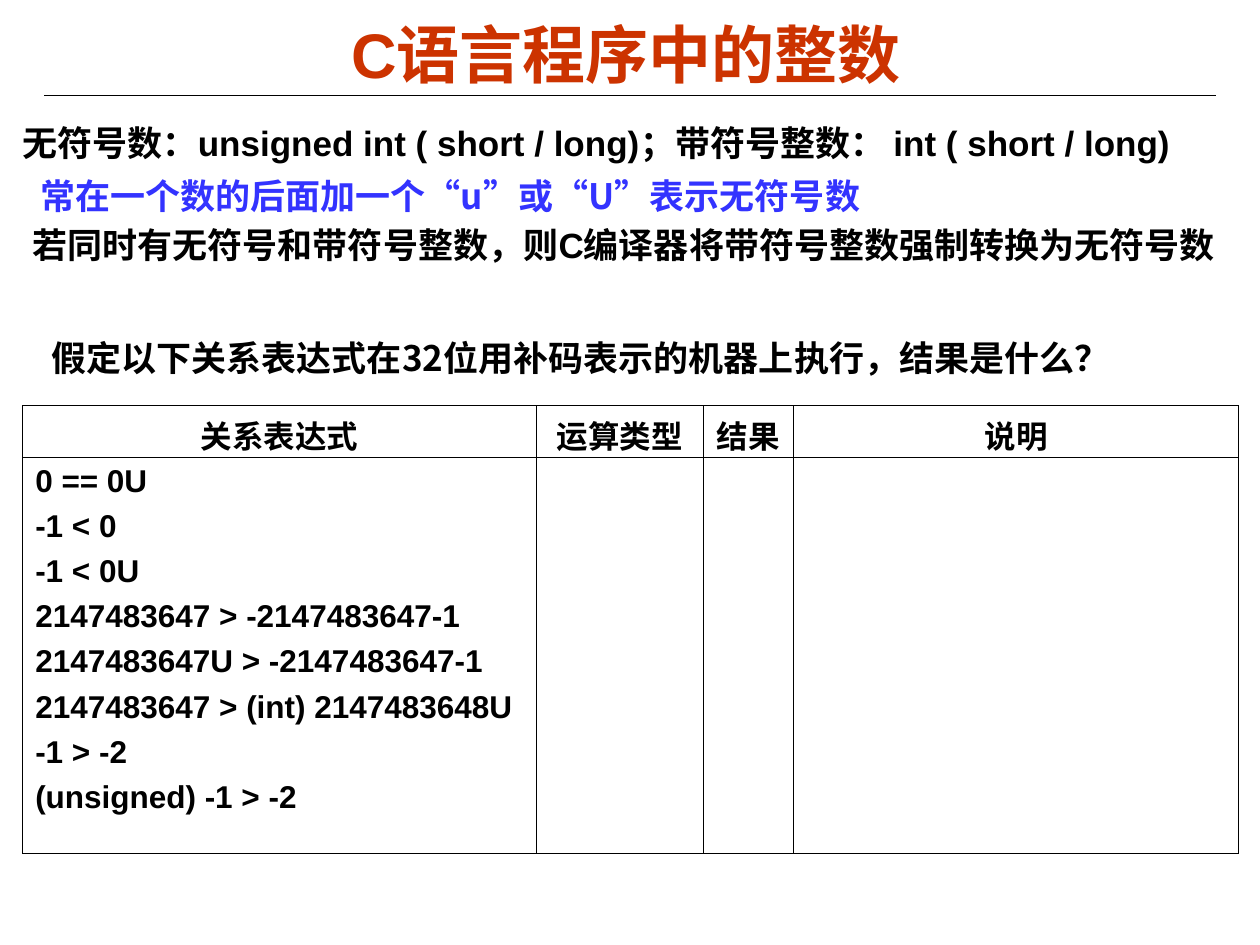
from dataclasses import dataclass

from lxml import etree
from pptx import Presentation
from pptx import util as u
from pptx.dml.color import RGBColor
from pptx.enum import shapes, text
from pptx.oxml import ns

BLACK = RGBColor(0x00, 0x00, 0x00)
RED = RGBColor(0xCC, 0x33, 0x00)
BLUE = RGBColor(0x33, 0x33, 0xFF)
LATIN = "Arial"
CHINESE = "Noto Sans CJK SC"


@dataclass
class Note:
    left: float
    top: float
    width: float
    height: float
    spans: list[tuple[str, str]]
    color: RGBColor = BLACK
    size: int = 20
    line_spacing: float = 1.2
    wrap: bool = True
    align: text.PP_ALIGN = text.PP_ALIGN.LEFT
    anchor: text.MSO_ANCHOR = text.MSO_ANCHOR.TOP
    autosize: text.MSO_AUTO_SIZE = text.MSO_AUTO_SIZE.SHAPE_TO_FIT_TEXT
    margins: tuple[float, float] = (0.1, 0.05)


TITLE = Note(0.47, 0.09, 9, 0.66, [("C语言程序中的整数", LATIN)], RED, 36, 1.0,
             align=text.PP_ALIGN.CENTER, anchor=text.MSO_ANCHOR.MIDDLE,
             autosize=text.MSO_AUTO_SIZE.NONE, margins=(0.07, 0.03))
NOTES = [
    Note(0.08, 0.85, 9.58, 0.5,
         [("无符号数：unsigned int ( short / long)；带符号整数： int ( short / long)", LATIN)],
         wrap=False),
    Note(0.22, 1.27, 7.43, 0.5,
         [("常在一个数的后面加一个", CHINESE), ("“", LATIN), ("u", CHINESE), ("”", LATIN),
          ("或", CHINESE), ("“", LATIN), ("U", CHINESE), ("”", LATIN),
          ("表示无符号数", CHINESE)], BLUE),
    Note(0.16, 1.66, 9.77, 0.5,
         [("若同时有无符号和带符号整数，则C编译器将带符号整数强制转换为无符号数", LATIN)]),
    Note(0.31, 2.62, 8.93, 0.44,
         [("假定以下关系表达式在32位用补码表示的机器上执行，结果是什么？", CHINESE)],
         line_spacing=1.0),
]
HEADINGS = ["关系表达式", "运算类型", "结果", "说明"]
EXPRESSIONS = [
    "0 == 0U",
    "-1 < 0",
    "-1 < 0U",
    "2147483647 > -2147483647-1",
    "2147483647U > -2147483647-1",
    "2147483647 > (int) 2147483648U",
    "-1 > -2",
    "(unsigned) -1 > -2",
]
COLUMN_WIDTHS = [4.08, 1.32, 0.72, 3.53]
ROW_HEIGHTS = [0.4, 3.14]


def set_format(target, values: dict) -> None:
    for name, value in values.items():
        setattr(target, name, value)


def add_span(para, words: str, face: str, size: int, color: RGBColor) -> None:
    span = para.add_run()
    span.text = words
    set_format(span.font, {"name": face, "size": u.Pt(size), "bold": True})
    span.font.color.rgb = color
    east_asian = etree.Element(ns.qn("a:ea"), typeface=CHINESE)
    span.font._element.find(ns.qn("a:latin")).addnext(east_asian)


def add_note(page, note: Note) -> None:
    box = page.shapes.add_textbox(*map(u.Inches, (note.left, note.top, note.width, note.height)))
    side, edge = map(u.Inches, note.margins)
    set_format(box.text_frame, {
        "word_wrap": note.wrap, "auto_size": note.autosize, "vertical_anchor": note.anchor,
        "margin_left": side, "margin_right": side, "margin_top": edge, "margin_bottom": edge,
    })
    para = box.text_frame.paragraphs[0]
    set_format(para, {"alignment": note.align, "line_spacing": note.line_spacing})
    for words, face in note.spans:
        add_span(para, words, face, note.size, note.color)


def add_rule(page) -> None:
    rule = page.shapes.add_connector(shapes.MSO_CONNECTOR.STRAIGHT, *map(u.Inches, (0.35, 0.76, 9.65, 0.76)))
    rule.line.color.rgb = BLACK
    rule.line.width = u.Pt(0.75)
    etree.SubElement(rule._element.spPr, ns.qn("a:effectLst"))


def style_cell(cell) -> None:
    properties = cell._tc.get_or_add_tcPr()
    for side in ("lnL", "lnR", "lnT", "lnB"):
        border = etree.SubElement(properties, ns.qn(f"a:{side}"), w=str(u.Pt(0.45)))
        fill = etree.SubElement(border, ns.qn("a:solidFill"))
        etree.SubElement(fill, ns.qn("a:srgbClr"), val=str(BLACK))
    cell.fill.background()


def fill_cell(cell, lines: list[str], align: text.PP_ALIGN) -> None:
    for index, words in enumerate(lines):
        para = cell.text_frame.paragraphs[0] if index == 0 else cell.text_frame.add_paragraph()
        set_format(para, {"alignment": align, "space_before": u.Pt(5.6 if index else 0)})
        indent = u.Inches(0.22)
        for name, value in {"marL": indent, "indent": -indent}.items():
            para._p.get_or_add_pPr().set(name, str(value))
        add_span(para, words, LATIN, 18, BLACK)


def add_expression_table(page) -> None:
    frame = page.shapes.add_table(
        len(ROW_HEIGHTS), len(COLUMN_WIDTHS), u.Inches(0.18), u.Inches(3.22),
        u.Inches(sum(COLUMN_WIDTHS)), u.Inches(sum(ROW_HEIGHTS)))
    table = frame.table
    set_format(table, {"first_row": False, "horz_banding": False})
    for column, width in zip(table.columns, COLUMN_WIDTHS):
        column.width = u.Inches(width)
    for row, height in zip(table.rows, ROW_HEIGHTS):
        row.height = u.Inches(height)
    for cell in table.iter_cells():
        style_cell(cell)
    for cell, heading in zip(table.rows[0].cells, HEADINGS):
        cell.margin_bottom = u.Inches(0)
        fill_cell(cell, [heading], text.PP_ALIGN.CENTER)
    fill_cell(table.cell(1, 0), EXPRESSIONS, text.PP_ALIGN.LEFT)


def main() -> None:
    deck = Presentation()
    set_format(deck, {"slide_width": u.Inches(10), "slide_height": u.Inches(7.5)})
    page = deck.slides.add_slide(deck.slide_layouts[6])
    add_rule(page)
    add_note(page, TITLE)
    add_expression_table(page)
    for note in NOTES:
        add_note(page, note)
    deck.save("out.pptx")


if __name__ == "__main__":
    main()
